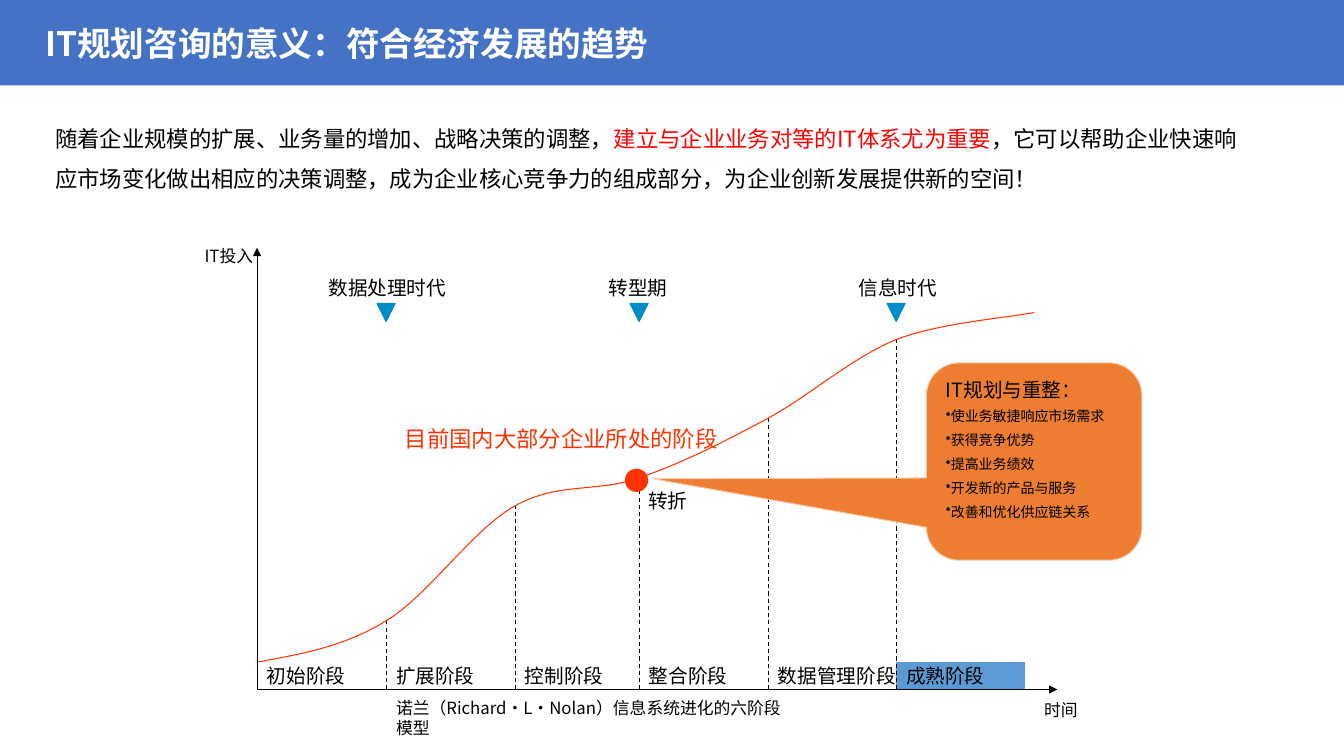
import pptx
import pptx.dml.color
import pptx.enum.dml
import pptx.enum.shapes
import pptx.enum.text
import pptx.oxml
import pptx.oxml.ns
import pptx.oxml.xmlchemy
import pptx.util

Pt = pptx.util.Pt
qn = pptx.oxml.ns.qn
make = pptx.oxml.xmlchemy.OxmlElement
Kind = pptx.enum.shapes.MSO_SHAPE
Anchor = pptx.enum.text.MSO_ANCHOR
Dash = pptx.enum.dml.MSO_LINE

HUES = {
    "bar": "4472C4", "black": "000000", "white": "FFFFFF", "red": "FF0000",
    "curve": "FF3300", "mark": "008CC6", "ripe": "5B9BD5",
    "call": "ED7D31", "edge": "F8CBAD",
}


def hue(name):
    return pptx.dml.color.RGBColor.from_string(HUES[name])


class Board:
    font = "Noto Sans CJK SC"
    thin = 0.75

    def __init__(self, slide):
        self.shapes = slide.shapes

    def put(self, frame, paras, wrap=True, anchor=Anchor.TOP):
        """Fill a frame; each para is (runs, format), each run (text, size, colour)."""
        frame.word_wrap = wrap
        frame.vertical_anchor = anchor
        for i, (runs, form) in enumerate(paras):
            para = frame.add_paragraph() if i else frame.paragraphs[0]
            form = {"alignment": pptx.enum.text.PP_ALIGN.LEFT, **form}
            bullet = form.pop("bullet", None)
            for key, value in form.items():
                setattr(para, key, value)
            if bullet:
                mark = make("a:buChar")
                mark.set("char", bullet)
                para._p.get_or_add_pPr().append(mark)
            for text, size, tint in runs:
                run = para.add_run()
                run.text = text
                look = {"size": Pt(size), "name": self.font, "bold": size == 24}
                for key, value in look.items():
                    setattr(run.font, key, value)
                run.font.color.rgb = hue(tint)
                east = make("a:ea")
                east.set("typeface", self.font)
                run.font._element.find(qn("a:latin")).addnext(east)

    def text(self, box, paras, **opts):
        frame = self.shapes.add_textbox(*map(Pt, box)).text_frame
        self.put(frame, paras, **opts)

    def label(self, box, text, size=14, tint="black", **opts):
        self.text(box, [([(text, size, tint)], {})], **opts)

    def shape(self, kind, box, fill=None, edge=None, flip=None):
        item = self.shapes.add_shape(kind, *map(Pt, box))
        item.shadow.inherit = False
        if fill:
            item.fill.solid()
            item.fill.fore_color.rgb = hue(fill)
        else:
            item.fill.background()
        if edge:
            self.stroke(item.line, edge)
        else:
            item.line.fill.background()
        if flip:
            item._element.spPr.xfrm.set(flip, "1")
        return item

    def stroke(self, line, tint, dash=None):
        line.color.rgb = hue(tint)
        for key, value in {"width": Pt(self.thin), "dash_style": dash}.items():
            setattr(line, key, value)

    def line(self, start, end, dash=None, arrow=False):
        kind = pptx.enum.shapes.MSO_CONNECTOR.STRAIGHT
        item = self.shapes.add_connector(kind, *map(Pt, (*start, *end)))
        self.stroke(item.line, "black", dash)
        if arrow:
            tip = make("a:tailEnd")
            tip.set("type", "triangle")
            item.line._get_or_add_ln().append(tip)
        item._element.spPr.append(make("a:effectLst"))

    def curve(self, points, tint):
        """Draw cubic curves: a start, then two handles and a knot per leg."""
        first, *rest = [(Pt(x), Pt(y)) for x, y in points]
        pen = self.shapes.build_freeform(*first)
        pen.add_line_segments(rest, close=False)
        item = pen.convert_to_shape()
        item.shadow.inherit = False
        item.fill.background()
        self.stroke(item.line, tint)
        legs = iter(list(item._element.iter(qn("a:lnTo"))))
        for one, two, knot in zip(legs, legs, legs):
            bend = make("a:cubicBezTo")
            bend.extend([one[0], two[0], knot[0]])
            one.addprevious(bend)
            for leg in (one, two, knot):
                leg.getparent().remove(leg)


BASE = 492.5
CURVE = [
    (183.6, 473), (214.6, 467.3), (245.5, 462.2),
    (275.8, 443.5), (306.7, 424.8), (337.7, 378),
    (367.9, 361.4), (398.2, 344.2), (426.2, 352.1),
    (456.5, 341.3), (486.7, 331.2), (517.7, 315.4),
    (548.6, 298.8), (578.9, 282.2), (608.4, 255.6),
    (640.1, 242.6), (671.8, 230.4), (722.2, 226.8),
    (738.7, 223.2),
]
KNOTS = CURVE[::3][:6]
STAGES = ["初始阶段", "扩展阶段", "控制阶段", "整合阶段", "数据管理阶段", "成熟阶段"]
ERAS = [
    ("数据处理时代", 227.5, 137.5, KNOTS[1]),
    ("转型期", 427.7, 67.7, KNOTS[3]),
    ("信息时代", 606.2, 83.5, KNOTS[5]),
]
GAINS = ["使业务敏捷响应市场需求", "获得竞争优势", "提高业务绩效",
         "开发新的产品与服务", "改善和优化供应链关系"]


def main():
    deck = pptx.Presentation()
    deck.slide_width, deck.slide_height = Pt(960), Pt(540)
    board = Board(deck.slides.add_slide(deck.slide_layouts[6]))

    board.shape(Kind.RECTANGLE, (0, 0, 960, 61), "bar")
    board.label((25.2, 13, 479.5, 36), "IT规划咨询的意义：符合经济发展的趋势", 24, "white")
    intro = [
        ("随着企业规模的扩展、业务量的增加、战略决策的调整，", 16, "black"),
        ("建立与企业业务对等的IT体系尤为重要", 16, "red"),
        ("，它可以帮助企业快速响应市场变化做出相应的决策调整，"
         "成为企业核心竞争力的组成部分，为企业创新发展提供新的空间！", 16, "black"),
    ]
    board.text((32.4, 76.3, 866.2, 65.5), [(intro, {"line_spacing": 1.5})])

    for name, (x, _) in zip(STAGES, KNOTS):
        fill = "ripe" if name == STAGES[-1] else None
        cell = board.shape(Kind.RECTANGLE, (x, 473, 92, 19.5), fill)
        board.put(cell.text_frame, [([(name, 14, "black")], {})],
                  wrap=False, anchor=Anchor.MIDDLE)
    for x, y in KNOTS[1:]:
        board.line((x, BASE), (x, y), dash=Dash.DASH)

    board.label((738.7, 496, 56, 21.6), "时间", 12)
    board.label((139, 172, 75.6, 21.6), "IT投入", 12)
    board.label((275.8, 501.8, 293, 21.6),
                "诺兰（Richard·L·Nolan）信息系统进化的六阶段模型", 12,
                anchor=Anchor.MIDDLE)

    board.curve(CURVE, "curve")
    board.shape(Kind.OVAL, (446.4, 334.8, 16.6, 16.6), "curve")

    call = board.shape(Kind.ROUNDED_RECTANGULAR_CALLOUT, (661.7, 259.2, 154, 141),
                       "call", "edge", "flipH")
    for i, value in enumerate((1.772, 0.087, 0.167)):
        call.adjustments[i] = value
    gains = [([(gain, 10, "black")], {"space_before": Pt(5), "bullet": "•"})
             for gain in GAINS]
    board.put(call.text_frame, [([("IT规划与重整：", 14, "black")], {}), *gains])

    board.label((455.8, 345.6, 64.8, 24.5), "转折")
    origin = (KNOTS[0][0], BASE)
    board.line(origin, (origin[0], 177), arrow=True)
    board.line(origin, (755.3, BASE), arrow=True)

    for name, left, width, (x, _) in ERAS:
        board.label((left, 193.7, width, 24.5), name)
        board.shape(Kind.ISOSCELES_TRIANGLE, (x - 6.5, 216.7, 13, 13),
                    "mark", "mark", "flipV")
    board.label((282.2, 300.2, 269.3, 26.6), "目前国内大部分企业所处的阶段", 16, "curve")

    deck.save("out.pptx")


if __name__ == "__main__":
    main()
